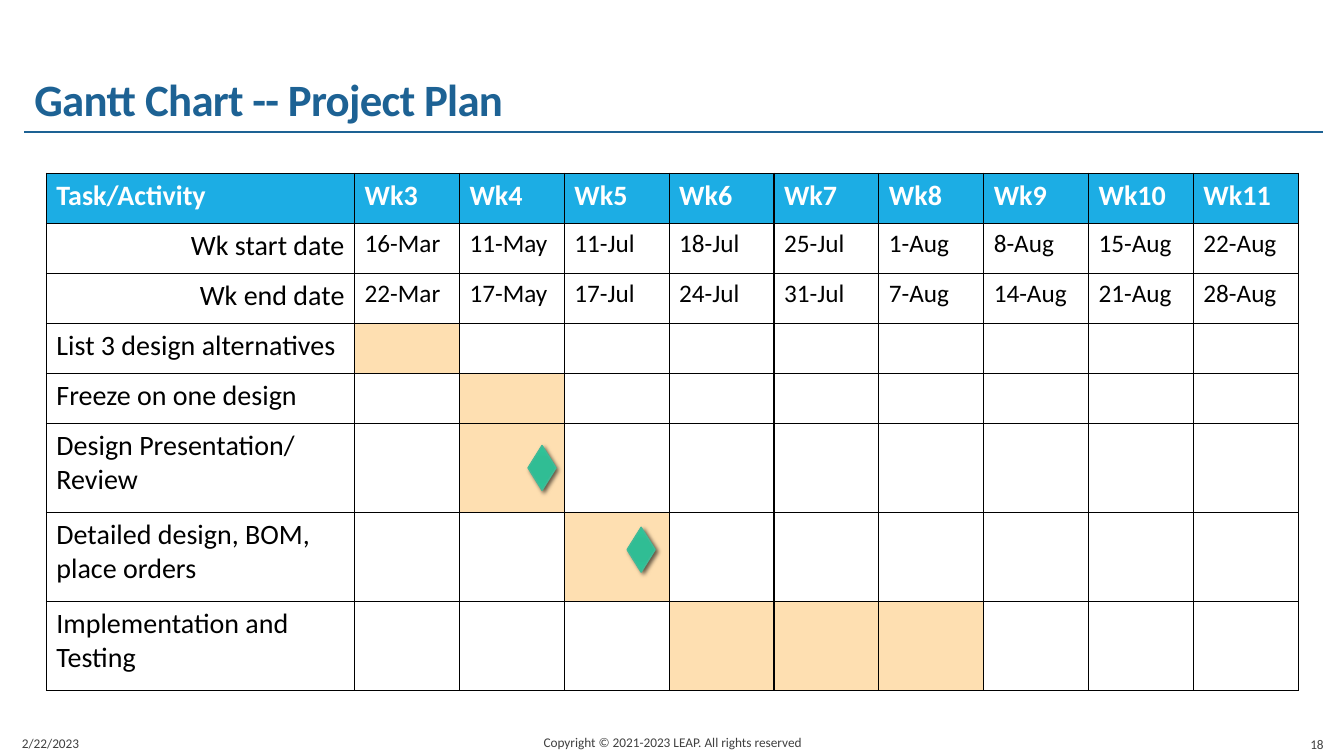
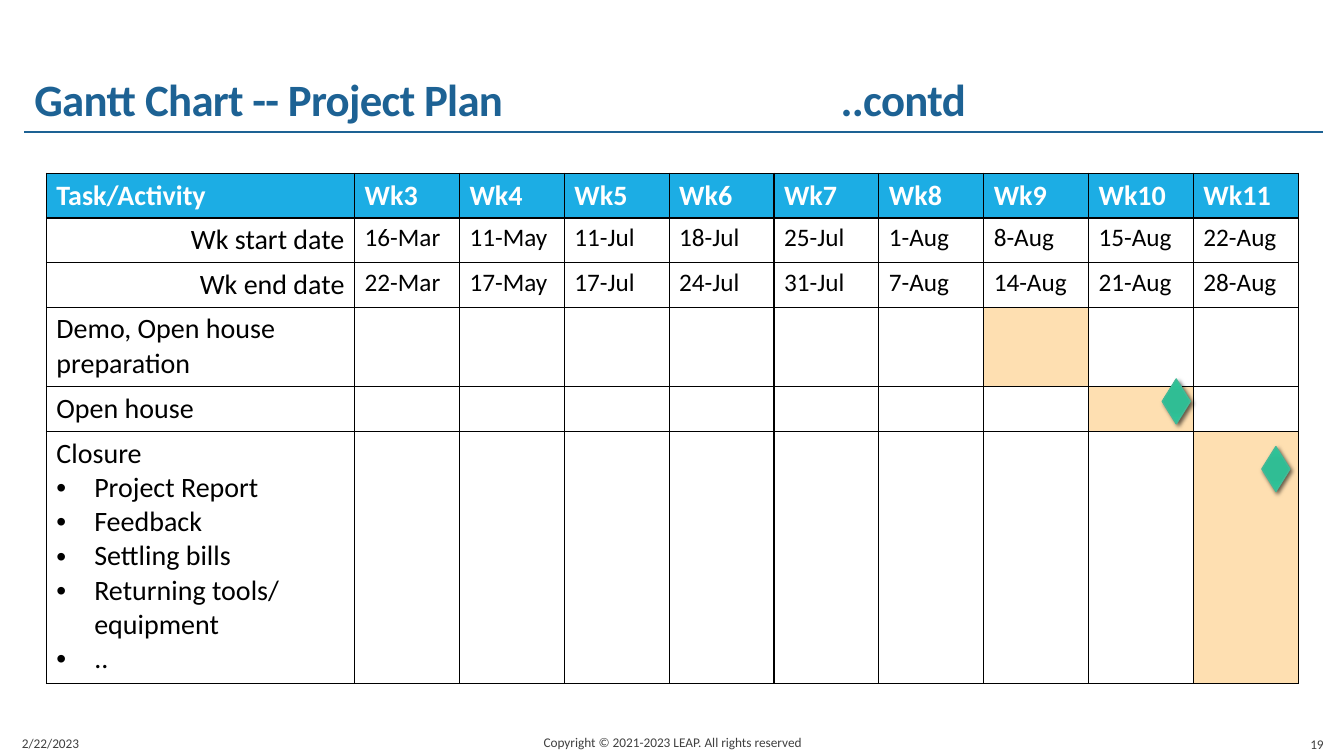
from dataclasses import dataclass

from lxml.etree import SubElement
from pptx import Presentation
from pptx.dml.color import RGBColor
from pptx.enum.shapes import MSO_CONNECTOR, MSO_SHAPE
from pptx.enum.text import MSO_ANCHOR, MSO_AUTO_SIZE, PP_ALIGN
from pptx.oxml import parse_xml
from pptx.oxml.ns import nsdecls, qn
from pptx.util import Pt


@dataclass(frozen=True)
class Theme:
    font: str = "Calibri"
    title_color: str = "1D6294"
    header_fill: str = "1CADE4"
    header_text: str = "FFFFFF"
    ink: str = "000000"
    footer_text: str = "404040"
    scheduled: str = "FEDFB1"
    milestone_line: str = "42BA97"
    milestone_stops: tuple = ((0, "2DBE94"), (34, "30BD94"), (70, "2EC397"), (100, "3CC09A"))
    title_size: float = 32
    task_size: float = 20
    date_size: float = 18
    footer_size: float = 9.5


THEME = Theme()
TITLE = "Gantt Chart -- Project Plan"
DATE = "2/22/2023"
COPYRIGHT = "Copyright © 2021-2023 LEAP. All rights reserved"
TABLE_LEFT, TABLE_TOP = 33.1, 123.8
TASK_WIDTH, WEEK_WIDTH = 220.2, 74.9
MILESTONE_WIDTH, MILESTONE_HEIGHT = 20, 32

HEADER = ["Task/Activity"] + [f"Wk{number}" for number in range(3, 12)]
STARTS = ["Wk start date", "16-Mar", "11-May", "11-Jul", "18-Jul", "25-Jul",
          "1-Aug", "8-Aug", "15-Aug", "22-Aug"]
ENDS = ["Wk end date", "22-Mar", "17-May", "17-Jul", "24-Jul", "31-Jul",
        "7-Aug", "14-Aug", "21-Aug", "28-Aug"]

PLANS = [
    {
        "number": 18,
        "title": TITLE,
        "calendar_height": 35.8,
        "tasks": [
            ("List 3 design alternatives", [3], 35.8),
            ("Freeze on one design", [4], 35.8),
            ("Design Presentation/ Review", [4], 63.6),
            ("Detailed design, BOM, place orders", [5], 63.6),
            ("Implementation and Testing", [6, 7, 8], 63.6),
        ],
        "milestones": [(377.2, 318.2), (448, 376.6)],
    },
    {
        "number": 19,
        "title": TITLE + "\t..contd",
        "calendar_height": 31.9,
        "tasks": [
            ("Demo, Open house preparation", [9], 56.8),
            ("Open house", [10], 31.9),
            ("Closure\nProject Report\nFeedback\nSettling bills\nReturning tools/ equipment\n..",
             [11], 180),
        ],
        "milestones": [(901.4, 319), (830.2, 270.7)],
    },
]


def add_bullet(paragraph, indent=27):
    properties = paragraph._p.get_or_add_pPr()
    properties.set("marL", str(Pt(indent)))
    properties.set("indent", str(-Pt(indent)))
    SubElement(properties, qn("a:buFont"), typeface="Arial")
    SubElement(properties, qn("a:buChar"), char="•")


def add_tab_stop(paragraph, position):
    stops = SubElement(paragraph._p.get_or_add_pPr(), qn("a:tabLst"))
    SubElement(stops, qn("a:tab"), pos=str(Pt(position)), algn="l")


def write_text(frame, text, size, color, bold=False, align=PP_ALIGN.LEFT,
               tab=None, line_spacing=None, tracking=None):
    for index, line in enumerate(text.split("\n")):
        paragraph = frame.add_paragraph() if index else frame.paragraphs[0]
        if index:
            add_bullet(paragraph)
        if tab:
            add_tab_stop(paragraph, tab)
        paragraph.alignment = align
        if line_spacing:
            paragraph.line_spacing = line_spacing
        span = paragraph.add_run()
        span.text = line
        span.font.name = THEME.font
        span.font.size = Pt(size)
        span.font.bold = bold
        span.font.color.rgb = RGBColor.from_string(color)
        if tracking:
            span.font._element.set("spc", str(int(tracking * 100)))


def add_title(page, text):
    title = page.shapes.title
    title.left, title.top, title.width, title.height = Pt(17.3), Pt(22.3), Pt(927.4), Pt(71.3)
    frame = title.text_frame
    frame.auto_size = MSO_AUTO_SIZE.NONE
    frame.vertical_anchor = MSO_ANCHOR.BOTTOM
    write_text(frame, text, THEME.title_size, THEME.title_color, bold=True,
               tab=576, line_spacing=0.85, tracking=-0.5)


def add_title_rule(page):
    rule = page.shapes.add_connector(MSO_CONNECTOR.STRAIGHT, Pt(17.3), Pt(94.3), Pt(944.7), Pt(94.3))
    rule.line.color.rgb = RGBColor.from_string(THEME.title_color)
    rule.line.width = Pt(1)
    SubElement(rule._element.spPr, qn("a:effectLst"))


def add_footer(page, number):
    for text, left, top, width, align in (
        (DATE, 8.6, 511.2, 194.4, PP_ALIGN.LEFT),
        (COPYRIGHT, 290.9, 510.5, 379.4, PP_ALIGN.CENTER),
        (str(number), 849.6, 511.9, 103, PP_ALIGN.RIGHT),
    ):
        box = page.shapes.add_textbox(Pt(left), Pt(top), Pt(width), Pt(28.8))
        frame = box.text_frame
        frame.word_wrap = True
        frame.vertical_anchor = MSO_ANCHOR.BOTTOM
        write_text(frame, text, THEME.footer_size, THEME.footer_text, align=align)


def format_cell(cell, fill=None):
    properties = cell._tc.get_or_add_tcPr()
    for side in ("lnL", "lnR", "lnT", "lnB"):
        border = SubElement(properties, qn(f"a:{side}"), w=str(Pt(1)))
        SubElement(SubElement(border, qn("a:solidFill")), qn("a:srgbClr"), val=THEME.ink)
    if fill:
        cell.fill.solid()
        cell.fill.fore_color.rgb = RGBColor.from_string(fill)
    else:
        cell.fill.background()


def add_schedule(page, calendar_height, tasks):
    calendar = [HEADER, STARTS, ENDS]
    heights = [calendar_height] * len(calendar) + [height for _, _, height in tasks]
    widths = [TASK_WIDTH] + [WEEK_WIDTH] * (len(HEADER) - 1)
    table = page.shapes.add_table(len(heights), len(widths), Pt(TABLE_LEFT), Pt(TABLE_TOP),
                                  Pt(sum(widths)), Pt(sum(heights))).table
    table.first_row = table.horz_banding = False
    for column, width in zip(table.columns, widths):
        column.width = Pt(width)
    for row, height in zip(table.rows, heights):
        row.height = Pt(height)

    for row_index, labels in enumerate(calendar):
        header = row_index == 0
        for column_index, label in enumerate(labels):
            task_column = column_index == 0
            cell = table.cell(row_index, column_index)
            format_cell(cell, THEME.header_fill if header else None)
            write_text(cell.text_frame, label,
                       THEME.task_size if header or task_column else THEME.date_size,
                       THEME.header_text if header else THEME.ink, bold=header,
                       align=PP_ALIGN.RIGHT if task_column and not header else PP_ALIGN.LEFT)

    for row_index, (task, weeks, _) in enumerate(tasks, len(calendar)):
        scheduled = {f"Wk{week}" for week in weeks}
        for column_index, label in enumerate(HEADER):
            format_cell(table.cell(row_index, column_index),
                        THEME.scheduled if label in scheduled else None)
        write_text(table.cell(row_index, 0).text_frame, task, THEME.task_size, THEME.ink)


def add_milestone(page, left, top):
    milestone = page.shapes.add_shape(MSO_SHAPE.DIAMOND, Pt(left), Pt(top),
                                      Pt(MILESTONE_WIDTH), Pt(MILESTONE_HEIGHT))
    stops = "".join(f'<a:gs pos="{position * 1000}"><a:srgbClr val="{color}"/></a:gs>'
                    for position, color in THEME.milestone_stops)
    properties = milestone._element.spPr
    properties.insert(2, parse_xml(
        f'<a:gradFill {nsdecls("a")}><a:gsLst>{stops}</a:gsLst><a:path path="circle">'
        '<a:fillToRect l="100000" t="100000" r="100000" b="100000"/></a:path></a:gradFill>'))
    milestone.line.color.rgb = RGBColor.from_string(THEME.milestone_line)
    milestone.line.width = Pt(1)
    milestone.shadow.inherit = False
    shadow = SubElement(properties.find(qn("a:effectLst")), qn("a:outerShdw"),
                        blurRad=str(Pt(3)), dist=str(Pt(2)), dir=str(45 * 60000))
    color = SubElement(shadow, qn("a:srgbClr"), val=THEME.ink)
    SubElement(color, qn("a:alpha"), val="60000")


def add_plan(deck, plan):
    page = deck.slides.add_slide(deck.slide_layouts.get_by_name("Title Only"))
    add_title_rule(page)
    add_title(page, plan["title"])
    add_footer(page, plan["number"])
    add_schedule(page, plan["calendar_height"], plan["tasks"])
    for left, top in plan["milestones"]:
        add_milestone(page, left, top)


def main():
    deck = Presentation()
    deck.slide_width, deck.slide_height = Pt(960), Pt(540)
    for plan in PLANS:
        add_plan(deck, plan)
    deck.save("out.pptx")


if __name__ == "__main__":
    main()
